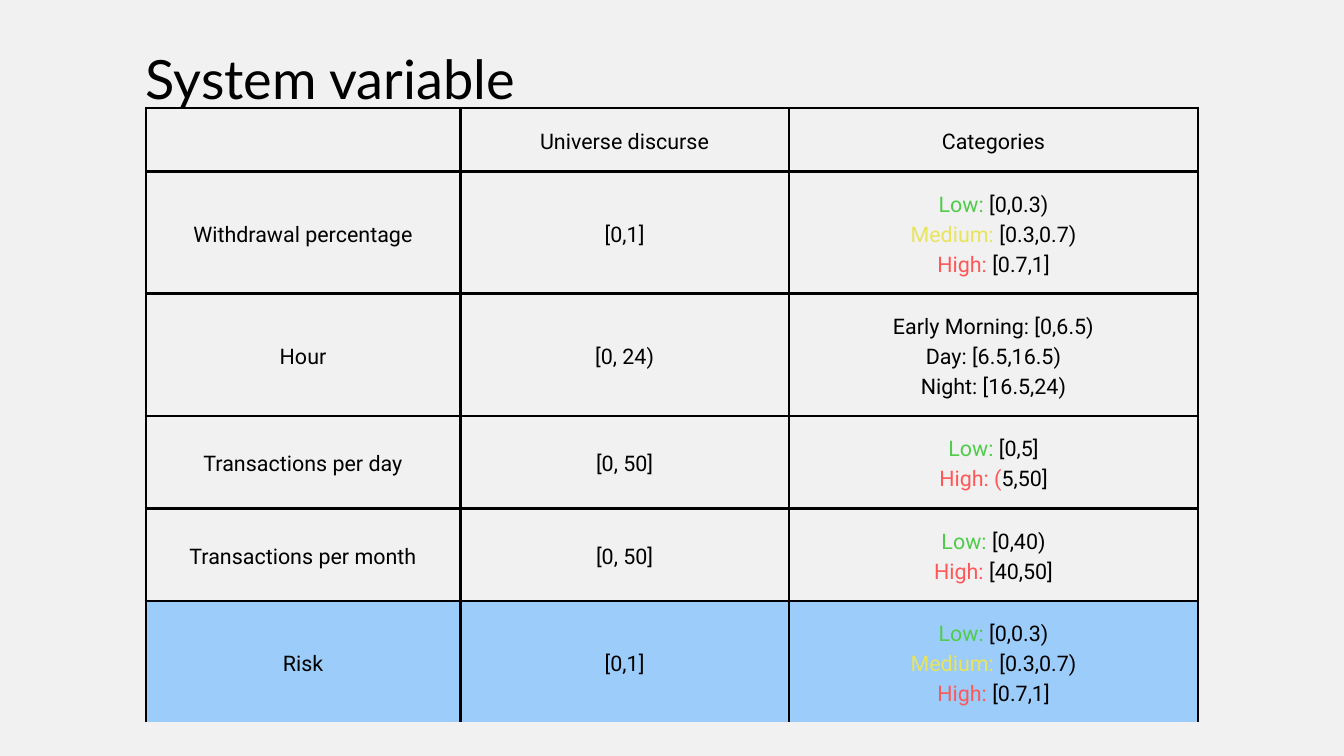
from lxml import etree
from pptx import Presentation
from pptx import util as u
from pptx.dml.color import RGBColor
from pptx.enum import text
from pptx.oxml.ns import qn

COLOURS = {
    "paper": "F1F1F1",
    "ink": "000000",
    "low": "50CB4B",
    "medium": "E8E45D",
    "high": "FF5757",
    "result": "9CCDFA",
}


def rgb(name):
    return RGBColor.from_string(COLOURS[name])


class Deck:
    heading_font, body_font = "Lato", "Roboto"
    heading_size, body_size = u.Pt(58), u.Pt(23)
    heading_spacing, body_spacing = u.Pt(81.2), u.Pt(32.2)
    cell_margin = u.Cm(0.53)
    border = u.Pt(3)

    def __init__(self, width, height):
        self.presentation = Presentation()
        self.presentation.slide_width = width
        self.presentation.slide_height = height
        self.slide = None

    def add_slide(self):
        self.slide = self.presentation.slides.add_slide(self.presentation.slide_layouts[6])
        fill = self.slide.background.fill
        fill.solid()
        fill.fore_color.rgb = rgb("paper")

    def set_font(self, font, name, size):
        font.name, font.size = name, size
        font.color.rgb = rgb("ink")

    def title(self, wording, left, top, width, height):
        frame = self.slide.shapes.add_textbox(left, top, width, height).text_frame
        frame.word_wrap = True
        frame.auto_size = text.MSO_AUTO_SIZE.SHAPE_TO_FIT_TEXT
        frame.margin_left = frame.margin_top = frame.margin_right = frame.margin_bottom = 0
        heading = frame.paragraphs[0]
        heading.text = wording
        heading.line_spacing = self.heading_spacing
        self.set_font(heading.font, self.heading_font, self.heading_size)

    def table(self, rows, left, top, widths, heights):
        grid = self.slide.shapes.add_table(
            len(rows), len(widths), left, top, sum(widths), sum(heights)
        ).table
        grid.first_row = grid.horz_banding = False
        for column, width in zip(grid.columns, widths):
            column.width = width
        for row, height in zip(grid.rows, heights):
            row.height = height
        for r, row in enumerate(rows):
            last = r == len(rows) - 1
            for c, lines in enumerate(row):
                self.cell(grid.cell(r, c), lines, last)

    def cell(self, cell, lines, last):
        cell.margin_left = cell.margin_right = self.cell_margin
        cell.margin_top = cell.margin_bottom = self.cell_margin
        cell.vertical_anchor = text.MSO_ANCHOR.MIDDLE
        self.borders(cell, open_bottom=last)
        if last:
            cell.fill.solid()
            cell.fill.fore_color.rgb = rgb("result")
        else:
            cell.fill.background()
        for i, line in enumerate(lines):
            frame = cell.text_frame
            paragraph = frame.add_paragraph() if i else frame.paragraphs[0]
            paragraph.alignment = text.PP_ALIGN.CENTER
            paragraph.line_spacing = self.body_spacing
            self.set_font(paragraph.font, self.body_font, self.body_size)
            for wording, colour in line:
                run = paragraph.add_run()
                run.text = wording
                if colour != "ink":
                    run.font.color.rgb = rgb(colour)

    def borders(self, cell, open_bottom):
        properties = cell._tc.get_or_add_tcPr()
        for side in "LRTB":
            edge = etree.SubElement(properties, qn(f"a:ln{side}"))
            if side == "B" and open_bottom:
                edge.set("w", "0")
                etree.SubElement(edge, qn("a:noFill"))
            else:
                edge.set("w", str(self.border))
                paint = etree.SubElement(edge, qn("a:solidFill"))
                etree.SubElement(paint, qn("a:srgbClr"), val=COLOURS["ink"])


def plain(*lines):
    return [[(line, "ink")] for line in lines]


def levels(**ranges):
    result = []
    for level, interval in ranges.items():
        label = f"{level.capitalize()}: "
        result.append([(label, level), (interval, "ink")])
    return result


def main():
    deck = Deck(u.Cm(50.8), u.Cm(28.58))
    deck.add_slide()

    shares = levels(low="[0,0.3)", medium="[0.3,0.7)", high="[0.7,1]")
    daily = levels(low="[0,5]")
    daily.append([("High: (", "high"), ("5,50]", "ink")])
    monthly = levels(low="[0,40)", high="[40,50]")
    periods = plain("Early Morning: [0,6.5)", "Day: [6.5,16.5)", "Night: [16.5,24)")

    variables = [
        [[], plain("Universe discurse"), plain("Categories")],
        [plain("Withdrawal percentage"), plain("[0,1]"), shares],
        [plain("Hour"), plain("[0, 24)"), periods],
        [plain("Transactions per day"), plain("[0, 50]"), daily],
        [plain("Transactions per month"), plain("[0, 50]"), monthly],
        [plain("Risk"), plain("[0,1]"), shares],
    ]
    left = u.Cm(5.51)
    widths = [u.Cm(w) for w in (11.89, 12.42, 15.47)]
    heights = [u.Cm(h) for h in (2.39, 4.62, 4.62, 3.5, 3.5, 4.57)]
    deck.table(variables, left, u.Cm(4.09), widths, heights)
    deck.title("System variable", left, u.Cm(1.32), u.Cm(34.98), u.Cm(2.77))

    deck.presentation.save("out.pptx")


if __name__ == "__main__":
    main()
